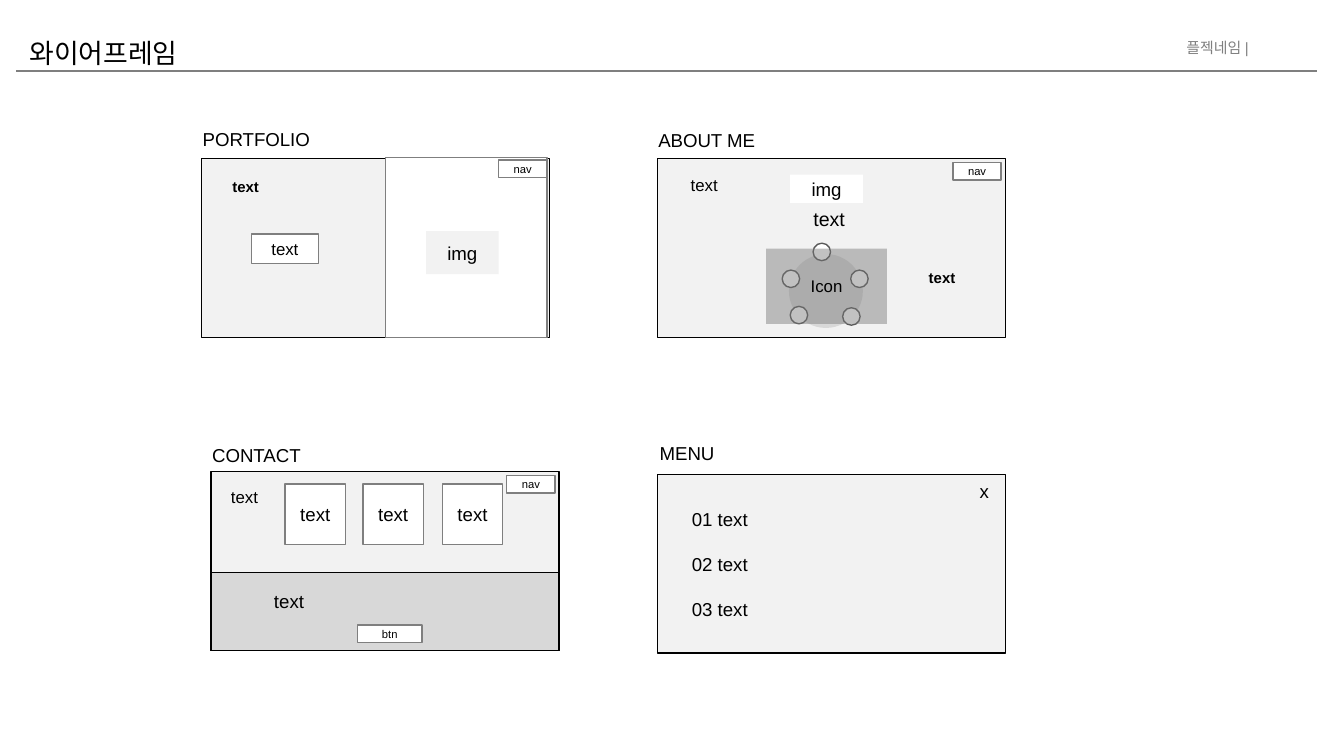
from pptx import Presentation
from pptx.dml.color import RGBColor
from pptx.enum.shapes import MSO_CONNECTOR as CONN, MSO_SHAPE as SHAPE
from pptx.enum.text import MSO_ANCHOR as ANCHOR, PP_ALIGN as ALIGN
from pptx.oxml.ns import qn
from pptx.util import Inches, Pt
from lxml.etree import SubElement

FONT = "Arial"
BLACK, GRAY, DARK = "000000", "7F7F7F", "595959"
WHITE, PALE, SILVER = "FFFFFF", "F2F2F2", "D8D8D8"
FRAME = (2.59, 1.33)
NAV = (0.36, 0.13)
CARD = (0.45, 0.45)
DOT = (0.13, 0.13)

BOX = dict(fill=WHITE, line=GRAY)
SMALL = dict(BOX, size=6)
LABEL = dict(size=9)
MIDDLE = dict(align=ALIGN.CENTER, anchor=ANCHOR.MIDDLE)
RING = dict(fill=WHITE, line=DARK, kind=SHAPE.OVAL)

DOTS = [(0.93, 0.83), (1.16, 0.63), (1.44, 0.83), (0.99, 1.10), (1.38, 1.11)]
CARDS = [0.55, 1.13, 1.72]

SCREENS = [
    dict(origin=(1.5, 1.18), title=("PORTFOLIO", -0.09, -0.28, 1.01), parts=[
        ("text", (0.13, 0.09, 0.62, 0.25), dict(size=8, bold=True)),
        ("", (1.37, -0.01, 1.2, 1.34), BOX),
        ("nav", (2.21, 0.01, *NAV), SMALL),
        ("img", (1.67, 0.54, 0.54, 0.32), dict(fill=PALE)),
        ("text", (0.37, 0.56, 0.5, 0.22), dict(BOX, size=9)),
    ]),
    dict(origin=(4.89, 1.18), title=("ABOUT ME", -0.09, -0.27, 0.93), parts=[
        ("text", (0.15, 0.07, 0.42, 0.25), LABEL),
        ("text", (0.23, 0.31, 2.1, 0.28), dict(MIDDLE, size=10.5)),
        ("", (0.98, 0.71, 0.55, 0.55), dict(fill=SILVER, kind=SHAPE.OVAL)),
        *[("", (x, y, *DOT), RING) for x, y in DOTS],
        ("Icon", (0.81, 0.67, 0.9, 0.56), dict(fill="777777", alpha=45, size=9)),
        ("nav", (2.2, 0.03, *NAV), SMALL),
        ("text", (1.77, 0.67, 0.7, 0.43), dict(MIDDLE, size=8, bold=True)),
        ("img", (0.99, 0.12, 0.54, 0.21), dict(fill=WHITE)),
    ]),
    dict(origin=(1.57, 3.51), title=("CONTACT", -0.09, -0.26, 0.91), parts=[
        *[("text", (x, 0.09, *CARD), BOX) for x in CARDS],
        ("", (0, 0.75, FRAME[0], 0.58), dict(fill=SILVER, line=BLACK)),
        ("text", (0.37, 0.83, 0.55, 0.27), {}),
        ("btn", (1.09, 1.14, 0.48, 0.13), SMALL),
        ("nav", (2.2, 0.03, *NAV), SMALL),
        ("text", (0.05, 0.06, 0.42, 0.25), LABEL),
    ]),
    dict(origin=(4.89, 3.53), title=("MENU", -0.08, -0.29, 0.91), parts=[
        ("01 text\n02 text\n03 text", (0.16, 0.2, 2.13, 1.14), dict(gap=12)),
        ("x", (2.3, -0.01, 0.33, 0.26), {}),
    ]),
]


def rgb(value):
    return RGBColor.from_string(value)


def write(sp, text, size=10, color=BLACK, bold=False, align=ALIGN.LEFT,
          anchor=ANCHOR.TOP, gap=0):
    tf = sp.text_frame
    tf.word_wrap = True
    tf.vertical_anchor = anchor
    for i, line in enumerate(text.split("\n")):
        p = tf.paragraphs[0] if i == 0 else tf.add_paragraph()
        p.alignment = align
        p.space_before = Pt(gap if i else 0)
        r = p.add_run()
        r.text = line
        r.font.name, r.font.size, r.font.bold = FONT, Pt(size), bold
        r.font.color.rgb = rgb(color)


def add_part(s, text, box, fill=None, line=None, kind=SHAPE.RECTANGLE,
             alpha=None, **style):
    place = [Inches(v) for v in box]
    if fill is None:
        write(s.shapes.add_textbox(*place), text, **style)
        return
    sp = s.shapes.add_shape(kind, *place)
    sp.shadow.inherit = False
    sp.fill.solid()
    sp.fill.fore_color.rgb = rgb(fill)
    if alpha:
        color = sp._element.spPr.find(qn("a:solidFill"))[0]
        SubElement(color, qn("a:alpha")).set("val", str(alpha * 1000))
    if line:
        sp.line.color.rgb = rgb(line)
        sp.line.width = Pt(0.75)
    else:
        sp.line.fill.background()
    if text:
        write(sp, text, **{**MIDDLE, **style})


def add_header(s):
    add_part(s, "플젝네임 |", (8.67, 0.24, 0.72, 0.24), size=8, color=GRAY,
             align=ALIGN.RIGHT)
    rule = s.shapes.add_connector(CONN.STRAIGHT, Inches(0.12), Inches(0.53),
                                  Inches(9.8), Inches(0.53))
    rule.line.color.rgb = rgb(GRAY)
    rule.line.width = Pt(1)
    SubElement(rule._element.spPr, qn("a:effectLst"))
    add_part(s, "와이어프레임", (0.12, 0.22, 8.03, 0.3), size=14.4)


def add_screen(s, origin, title, parts):
    left, top = origin
    name, dx, dy, width = title
    add_part(s, "", (left, top, *FRAME), fill=PALE, line=BLACK)
    add_part(s, name, (left + dx, top + dy, width, 0.28))
    for text, (x, y, w, h), style in parts:
        add_part(s, text, (left + x, top + y, w, h), **style)


def main():
    prs = Presentation()
    prs.slide_width = Inches(10)
    prs.slide_height = prs.slide_width * 9 // 16
    s = prs.slides.add_slide(prs.slide_layouts[6])
    add_header(s)
    for screen in SCREENS:
        add_screen(s, **screen)
    prs.save("out.pptx")


if __name__ == "__main__":
    main()
